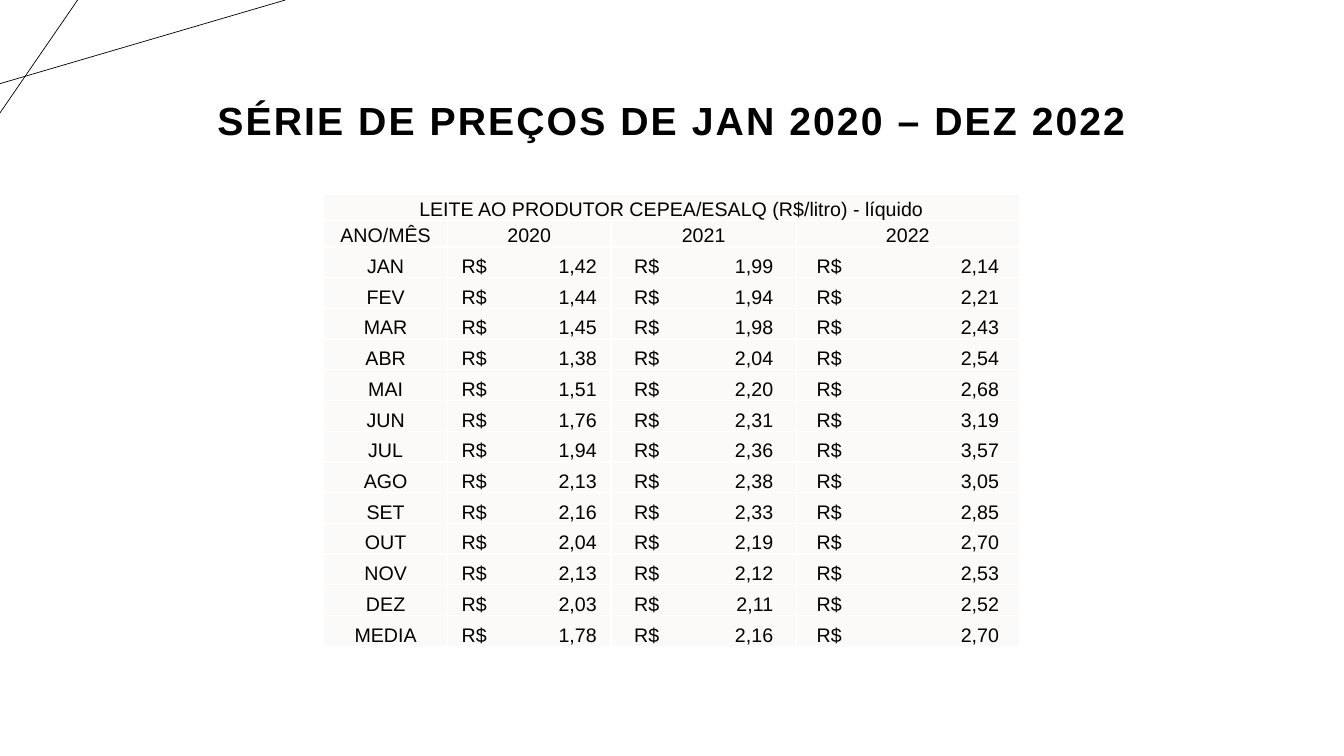
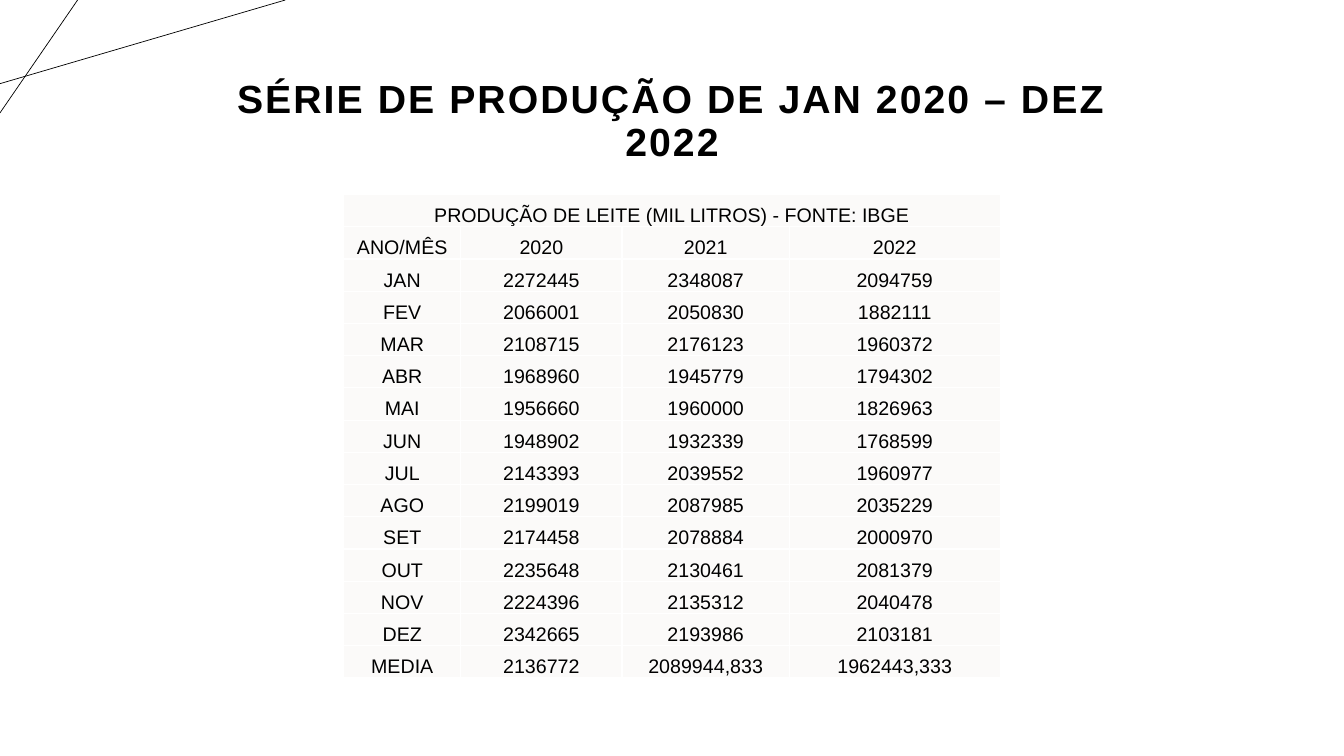
"""Builds two slides with monthly milk price and production tables."""
from pptx import Presentation
from pptx.dml.color import RGBColor as RGB
from pptx.enum.text import MSO_ANCHOR as Anchor, MSO_AUTO_SIZE as Fit, PP_ALIGN as Align
from pptx.oxml import parse_xml
from pptx.oxml.ns import nsdecls, qn
from pptx.util import Inches, Pt

FONT = "Arial"
INK = "000000"
PAPER = "FFFFFF"
CELL = "FBFAF9"
TITLE_BOX = (1.77, 0.51, 9.79, 1.41)
RAYS = [(2.83, 0.83), (0.77, 1.12)]
TOP = 1.93
HEAD = ["ANO/MÊS", "2020", "2021", "2022"]
MONTHS = "JAN FEV MAR ABR MAI JUN JUL AGO SET OUT NOV DEZ MEDIA".split()

PRICES = [
    "1,42 1,44 1,45 1,38 1,51 1,76 1,94 2,13 2,16 2,04 2,13 2,03 1,78",
    "1,99 1,94 1,98 2,04 2,20 2,31 2,36 2,38 2,33 2,19 2,12 2,11 2,16",
    "2,14 2,21 2,43 2,54 2,68 3,19 3,57 3,05 2,85 2,70 2,53 2,52 2,70",
]
OUTPUT = [
    "2272445 2066001 2108715 1968960 1956660 1948902 2143393 "
    "2199019 2174458 2235648 2224396 2342665 2136772",
    "2348087 2050830 2176123 1945779 1960000 1932339 2039552 "
    "2087985 2078884 2130461 2135312 2193986 2089944,833",
    "2094759 1882111 1960372 1794302 1826963 1768599 1960977 "
    "2035229 2000970 2081379 2040478 2103181 1962443,333",
]


def color(code):
    """Turn a hex string into a colour."""
    return RGB.from_string(code)


def style_title(deck, layout):
    """Set the title's place on the layout and its type on the master."""
    title = layout.placeholders[0]
    title.left, title.top, title.width, title.height = map(Inches, TITLE_BOX)
    title.text_frame.auto_size = Fit.NONE
    title.text_frame.vertical_anchor = Anchor.MIDDLE
    level = next(deck.slide_master.element.iter(qn("p:titleStyle"))).find(qn("a:lvl1pPr"))
    level.set("algn", "ctr")
    level.insert(0, parse_xml(
        f'<a:lnSpc {nsdecls("a")}><a:spcPct val="90000"/></a:lnSpc>'))
    font = level.find(qn("a:defRPr"))
    for key, val in {"sz": "2800", "b": "1", "spc": "150"}.items():
        font.set(key, val)
    font.find(qn("a:latin")).set("typeface", FONT)


def add_ray(layout, num, width, height):
    """Draw a thin rising line across the layout's top left corner."""
    layout.shapes.element.append(parse_xml(
        f'<p:cxnSp {nsdecls("p", "a")}><p:nvCxnSpPr>'
        f'<p:cNvPr id="{num}" name="Ray {num}"/><p:cNvCxnSpPr/><p:nvPr userDrawn="1"/>'
        f'</p:nvCxnSpPr><p:spPr><a:xfrm flipV="1"><a:off x="0" y="0"/>'
        f'<a:ext cx="{Inches(width)}" cy="{Inches(height)}"/></a:xfrm>'
        f'<a:prstGeom prst="line"><a:avLst/></a:prstGeom><a:ln w="{Pt(0.5)}">'
        f'<a:solidFill><a:srgbClr val="{INK}"/></a:solidFill></a:ln>'
        f'<a:effectLst/></p:spPr></p:cxnSp>'))


def add_edges(cell):
    """Give a cell thin borders on all four sides."""
    props = cell._tc.get_or_add_tcPr()
    for side in "LRTB":
        props.append(parse_xml(
            f'<a:ln{side} {nsdecls("a")} w="{Pt(1)}"><a:solidFill>'
            f'<a:srgbClr val="{PAPER}"/></a:solidFill></a:ln{side}>'))


def set_cell(cell, text):
    """Fill and format one centred cell."""
    add_edges(cell)
    cell.fill.solid()
    cell.fill.fore_color.rgb = color(CELL)
    cell.margin_left = cell.margin_right = cell.margin_top = cell.margin_bottom = 0
    cell.vertical_anchor = Anchor.BOTTOM
    para = cell.text_frame.paragraphs[0]
    para.text = text
    para.alignment = Align.CENTER
    para.font.name = FONT
    para.font.size = Pt(14)
    para.font.color.rgb = color(INK)


def set_money(cell, width, pad):
    """Put the currency at the left and the amount at a right tab."""
    cell.margin_left = Inches(pad)
    para = cell.text_frame.paragraphs[0]
    para.text = f"R$\t{para.text}"
    para.alignment = Align.LEFT
    para._p.get_or_add_pPr().insert(0, parse_xml(
        f'<a:tabLst {nsdecls("a")}>'
        f'<a:tab pos="{Inches(width - 2 * pad)}" algn="r"/></a:tabLst>'))


def add_grid(slide, left, widths, heights, label, years, pads=()):
    """Add a table of months by years under one merged heading."""
    rows = [[label, "", "", ""], HEAD, *zip(MONTHS, *(year.split() for year in years))]
    table = slide.shapes.add_table(
        len(rows), len(HEAD), Inches(left), Inches(TOP),
        Inches(sum(widths)), Inches(sum(heights))).table
    table.first_row = table.horz_banding = False
    for col, width in zip(table.columns, widths):
        col.width = Inches(width)
    for row, height in zip(table.rows, heights):
        row.height = Inches(height)
    for y, texts in enumerate(rows):
        for x, text in enumerate(texts):
            set_cell(table.cell(y, x), text)
    for x, pad in enumerate(pads, 1):
        for y in range(2, len(rows)):
            set_money(table.cell(y, x), widths[x], pad)
    table.cell(0, 0).merge(table.cell(0, len(HEAD) - 1))


def add_page(deck, layout, title):
    """Add a slide with its title."""
    slide = deck.slides.add_slide(layout)
    slide.shapes.title.text = title
    return slide


def main():
    """Build and save the deck."""
    deck = Presentation()
    deck.slide_width, deck.slide_height = Inches(13.33), Inches(7.5)
    layout = deck.slide_layouts[5]
    style_title(deck, layout)
    for num, size in enumerate(RAYS, 20):
        add_ray(layout, num, *size)

    slide = add_page(deck, layout, "SÉRIE DE PREÇOS DE JAN 2020 – DEZ 2022")
    add_grid(slide, 3.21, [1.23, 1.62, 1.84, 2.21], [0.26] * 2 + [0.305] * 13,
             "LEITE AO PRODUTOR CEPEA/ESALQ (R$/litro) - líquido",
             PRICES, [0.14, 0.23, 0.2])

    slide = add_page(deck, layout, "SÉRIE DE PRODUÇÃO DE JAN 2020 – DEZ 2022")
    add_grid(slide, 3.41, [1.16, 1.6, 1.66, 2.09], [0.32] * 15,
             "PRODUÇÃO DE LEITE (MIL LITROS) - FONTE: IBGE", OUTPUT)
    deck.save("out.pptx")


if __name__ == "__main__":
    main()
